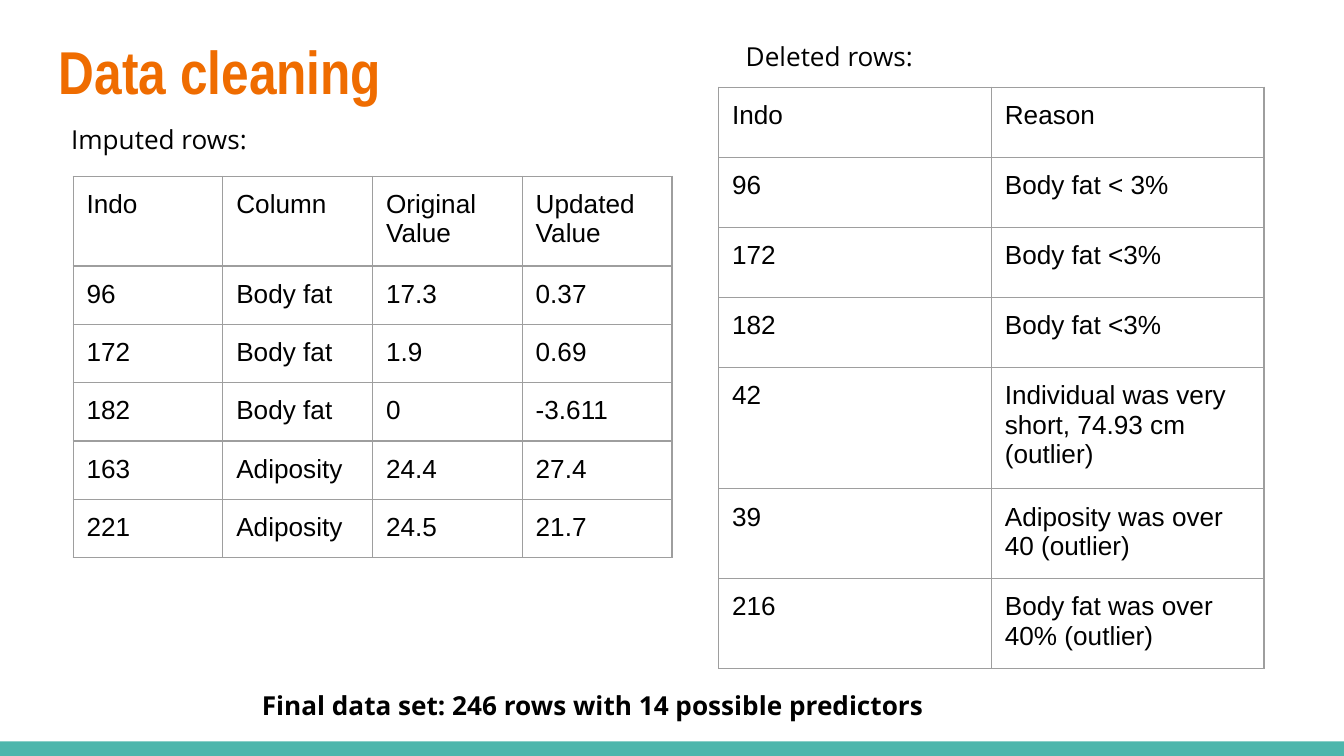
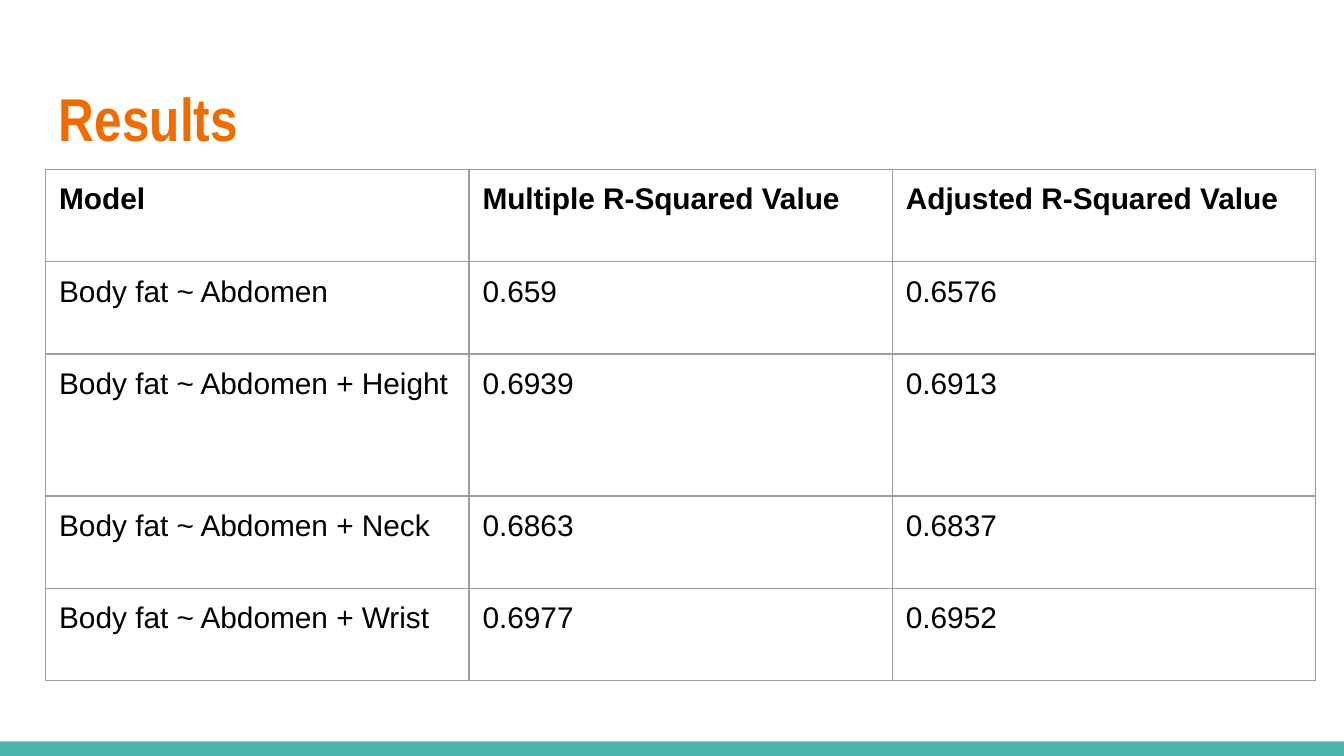
from lxml import etree
from pptx import Presentation
from pptx.dml.color import RGBColor
from pptx.enum.shapes import MSO_SHAPE
from pptx.enum.text import MSO_ANCHOR
from pptx.oxml.ns import qn
from pptx.util import Pt

RECTANGLE = MSO_SHAPE.RECTANGLE
TOP, MIDDLE = MSO_ANCHOR.TOP, MSO_ANCHOR.MIDDLE

COLORS = {"title": "EF6C00", "text": "000000", "band": "4DB6AC", "border": "9E9E9E"}
INSET = Pt(7.2)
BORDER_WIDTH = Pt(0.75)
MARGINS = {f"margin_{side}": INSET for side in ("left", "top", "right", "bottom")}

TITLE = {"name": "Arial Narrow", "size": Pt(32.4), "bold": True}
LABEL = {"name": "Open Sans", "size": Pt(14), "bold": False}
SUMMARY = {**LABEL, "bold": True}

SLIDES = [
    {
        "texts": [
            ("Data cleaning", (24.5, 10.1, 671, 55.4), TITLE, "title", MIDDLE),
            ("Deleted rows:", (392.4, 14.4, 278, 46), LABEL, "text", TOP),
            ("Final data set: 246 rows with 14 possible predictors",
             (133.2, 362.2, 493, 28.8), SUMMARY, "text", TOP),
            ("Imputed rows:", (31, 59, 170.6, 28.8), LABEL, "text", TOP),
        ],
        "tables": [
            {
                "origin": (39.2, 94.5), "size": 14, "bold_header": False,
                "column_width": 80.2,
                "row_heights": [16.6, 18, 18, 16.6, 16.6, 16.6],
                "rows": [
                    ("Indo", "Column", "Original Value", "Updated Value"),
                    ("96", "Body fat", "17.3", "0.37"),
                    ("172", "Body fat", "1.9", "0.69"),
                    ("182", "Body fat", "0", "-3.611"),
                    ("163", "Adiposity", "24.4", "27.4"),
                    ("221", "Adiposity", "24.5", "21.7"),
                ],
            },
            {
                "origin": (385, 46.7), "size": 14, "bold_header": False,
                "column_width": 146.1,
                "row_heights": [37.6] * 4 + [62.4, 46, 46],
                "rows": [
                    ("Indo", "Reason"),
                    ("96", "Body fat < 3%"),
                    ("172", "Body fat <3%"),
                    ("182", "Body fat <3%"),
                    ("42", "Individual was very short, 74.93 cm (outlier)"),
                    ("39", "Adiposity was over 40 (outlier)"),
                    ("216", "Body fat was over 40% (outlier)"),
                ],
            },
        ],
    },
    {
        "texts": [("Results", (24.5, 35.3, 671, 55.4), TITLE, "title", MIDDLE)],
        "tables": [
            {
                "origin": (24.5, 90.7), "size": 16, "bold_header": True,
                "column_width": 226.8,
                "row_heights": [49.5, 49.5, 76, 49.5, 49.5],
                "rows": [
                    ("Model", "Multiple R-Squared Value", "Adjusted R-Squared Value"),
                    ("Body fat ~ Abdomen", "0.659", "0.6576"),
                    ("Body fat ~ Abdomen + Height", "0.6939", "0.6913"),
                    ("Body fat ~ Abdomen + Neck", "0.6863", "0.6837"),
                    ("Body fat ~ Abdomen + Wrist", "0.6977", "0.6952"),
                ],
            },
        ],
    },
]


def write_text(frame, text, font_format, color):
    span = frame.paragraphs[0].add_run()
    span.text = text
    for name, value in font_format.items():
        setattr(span.font, name, value)
    span.font.color.rgb = RGBColor.from_string(COLORS[color])


def add_grid(page, grid):
    """Add a plain table with thin borders around every cell."""
    rows, heights = grid["rows"], grid["row_heights"]
    column_count = len(rows[0])
    left, top = grid["origin"]
    table = page.shapes.add_table(
        len(rows), column_count, Pt(left), Pt(top),
        Pt(grid["column_width"] * column_count), Pt(sum(heights))).table
    table.first_row = table.horz_banding = False
    for column in table.columns:
        column.width = Pt(grid["column_width"])
    for row_index, (values, height) in enumerate(zip(rows, heights)):
        table.rows[row_index].height = Pt(height)
        font_format = {"name": "Arial", "size": Pt(grid["size"]),
                       "bold": grid["bold_header"] and row_index == 0}
        for column_index, value in enumerate(values):
            cell = table.cell(row_index, column_index)
            for name, margin in MARGINS.items():
                setattr(cell, name, margin)
            write_text(cell.text_frame, value, font_format, "text")
            properties = cell._tc.get_or_add_tcPr()
            for side in ("lnL", "lnR", "lnT", "lnB"):
                line = etree.SubElement(properties, qn(f"a:{side}"), w=str(BORDER_WIDTH))
                fill = etree.SubElement(line, qn("a:solidFill"))
                etree.SubElement(fill, qn("a:srgbClr"), val=COLORS["border"])
            cell.fill.background()


deck = Presentation()
deck.slide_width, deck.slide_height = Pt(720), Pt(405)
blank_layout = deck.slide_layouts[6]

for content in SLIDES:
    page = deck.slides.add_slide(blank_layout)

    band = page.shapes.add_shape(RECTANGLE, Pt(0), Pt(397.2), Pt(720), Pt(7.8))
    band.shadow.inherit = False
    band.fill.solid()
    band.fill.fore_color.rgb = RGBColor.from_string(COLORS["band"])
    band.line.fill.background()

    for text, bounds, font_format, color, anchor in content["texts"]:
        box = page.shapes.add_textbox(*map(Pt, bounds))
        frame_format = {**MARGINS, "word_wrap": True, "vertical_anchor": anchor}
        for name, value in frame_format.items():
            setattr(box.text_frame, name, value)
        write_text(box.text_frame, text, font_format, color)

    for grid in content["tables"]:
        add_grid(page, grid)

deck.save("out.pptx")
